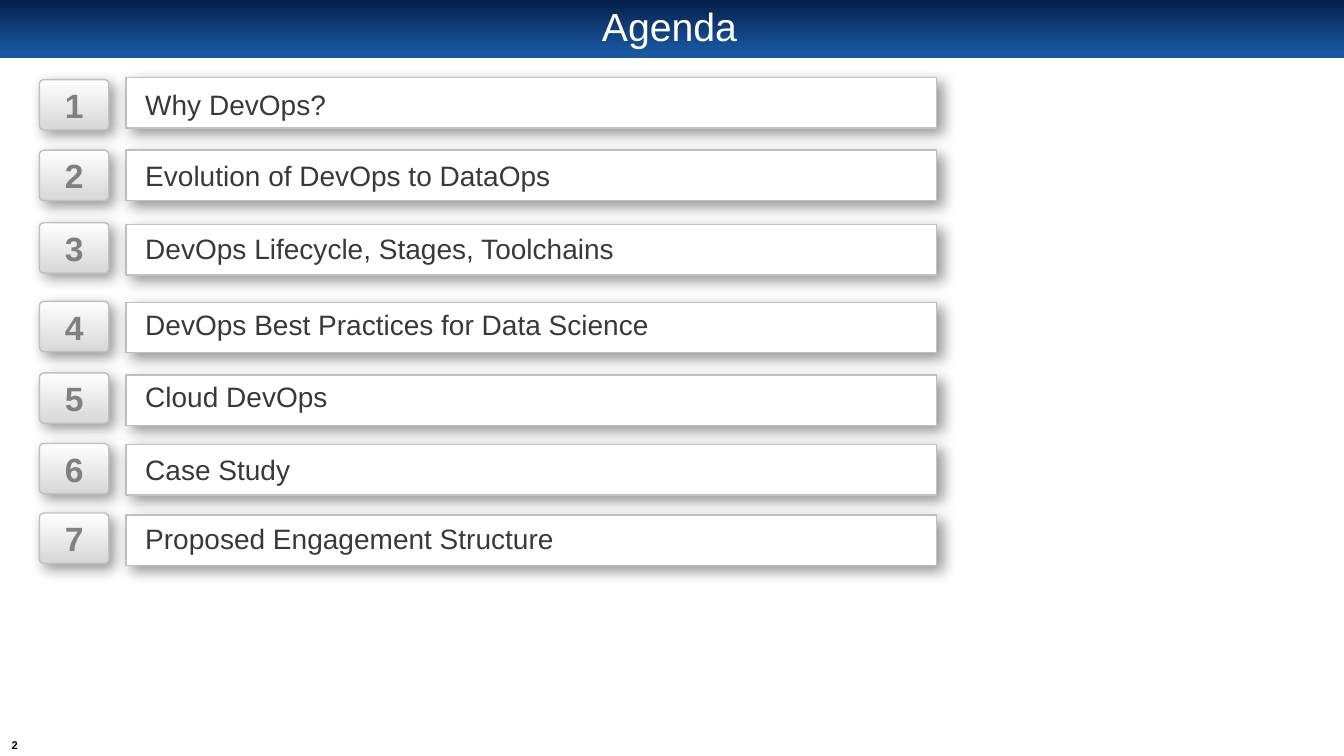
from lxml import etree
from pptx import Presentation, util as u
from pptx.dml.color import RGBColor
from pptx.enum import shapes, text
from pptx.oxml.ns import qn

AGENDA = [
    ("Why DevOps?", 0.79, 0.77, 0.86),
    ("Evolution of DevOps to DataOps", 1.49, 1.49, 1.57),
    ("DevOps Lifecycle, Stages, Toolchains", 2.21, 2.23, 2.29),
    ("DevOps Best Practices for Data Science", 2.99, 3.0, 3.05),
    ("Cloud DevOps", 3.7, 3.72, 3.76),
    ("Case Study", 4.4, 4.41, 4.49),
    ("Proposed Engagement Structure", 5.09, 5.11, 5.17),
]


def color(value):
    """Turn a hex string into a colour."""
    return RGBColor.from_string(value)


def write(shape, words, size, ink, align, bold=False, wrap=True):
    """Put one middle-anchored paragraph into a shape without insets."""
    frame = shape.text_frame
    frame.word_wrap = wrap
    frame.vertical_anchor = text.MSO_ANCHOR.MIDDLE
    frame.margin_left = frame.margin_right = frame.margin_top = frame.margin_bottom = 0
    para = frame.paragraphs[0]
    para.text = words
    para.alignment = align
    para.font.name = "Arial"
    para.font.size = u.Pt(size)
    para.font.bold = bold
    para.font.color.rgb = color(ink)
    return para


def add_label(page, box, *args, **options):
    """Add a text box at the given box in inches."""
    shape = page.shapes.add_textbox(*map(u.Inches, box))
    return write(shape, *args, **options)


def add_block(page, kind, box):
    """Add a preset shape without the theme shadow."""
    shape = page.shapes.add_shape(kind, *map(u.Inches, box))
    shape.shadow.inherit = False
    return shape


def fill_gradient(shape, angle, stops):
    """Fill a shape with a two-stop linear gradient."""
    shape.fill.gradient()
    shape.fill.gradient_angle = angle
    for stop, (position, value) in zip(shape.fill.gradient_stops, stops):
        stop.position = position
        stop.color.rgb = color(value)


def raise_block(shape):
    """Give a shape a thin grey outline and a soft diagonal shadow."""
    shape.line.color.rgb = color("C0C0C0")
    shape.line.width = u.Pt(1)
    effects = shape._element.spPr.find(qn("a:effectLst"))
    shadow = etree.SubElement(
        effects, qn("a:outerShdw"), blurRad=str(u.Pt(10)), dist=str(u.Pt(5)),
        dir="2700000", algn="tl", rotWithShape="0")
    ink = etree.SubElement(shadow, qn("a:srgbClr"), val="000000")
    etree.SubElement(ink, qn("a:alpha"), val="40000")


def add_header(page, left, top, width, height):
    """Draw the title band across the page."""
    band = add_block(page, shapes.MSO_SHAPE.RECTANGLE, (left, top, width, height))
    fill_gradient(band, 270, [(0, "052049"), (0.9, "1957A3")])
    band.line.fill.background()
    title = add_label(page, (left + 0.66, top + 0.06, 11.96, 0.45), "Agenda", 28,
                      "FFFFFF", text.PP_ALIGN.CENTER)
    title.line_spacing = 0.9


def add_agenda(page, left):
    """Draw the numbered agenda rows from the given left edge."""
    for number, (words, tile_top, panel_top, words_top) in enumerate(AGENDA, 1):
        panel = add_block(page, shapes.MSO_SHAPE.RECTANGLE,
                          (left + 0.86, panel_top, 8.04, 0.5))
        panel.fill.solid()
        panel.fill.fore_color.rgb = color("FFFFFF")
        raise_block(panel)

        tile = add_block(page, shapes.MSO_SHAPE.ROUNDED_RECTANGLE,
                         (left, tile_top, 0.69, 0.5))
        tile.adjustments[0] = 0.09
        fill_gradient(tile, 90, [(0, "D7D7D7"), (1, "FFFFFF")])
        raise_block(tile)
        write(tile, str(number), 24, "808080", text.PP_ALIGN.CENTER, bold=True)

        add_label(page, (left + 1.05, words_top, 10.19, 0.34), words, 20,
                  "3B3838", text.PP_ALIGN.LEFT)


def main():
    """Build the agenda slide."""
    deck = Presentation()
    deck.slide_width = u.Inches(13.33)
    deck.slide_height = u.Inches(7.5)
    page = deck.slides.add_slide(deck.slide_layouts[6])
    add_header(page, 0, 0, 13.33, 0.58)
    add_agenda(page, 0.39)
    add_label(page, (0.02, 7.3, 0.25, 0.19), "2", 8, "000000",
              text.PP_ALIGN.CENTER, bold=True, wrap=False)
    deck.save("out.pptx")


if __name__ == "__main__":
    main()
